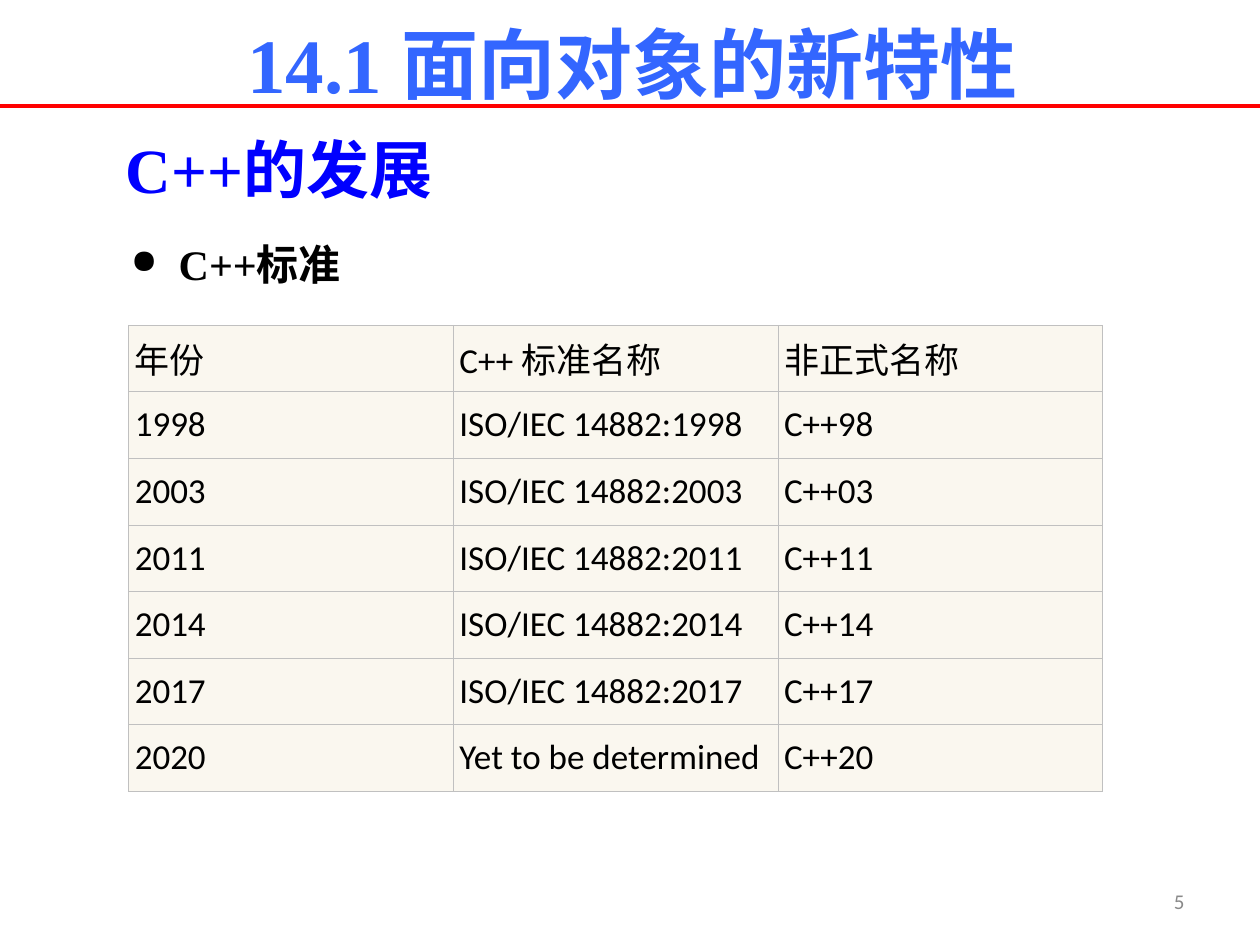
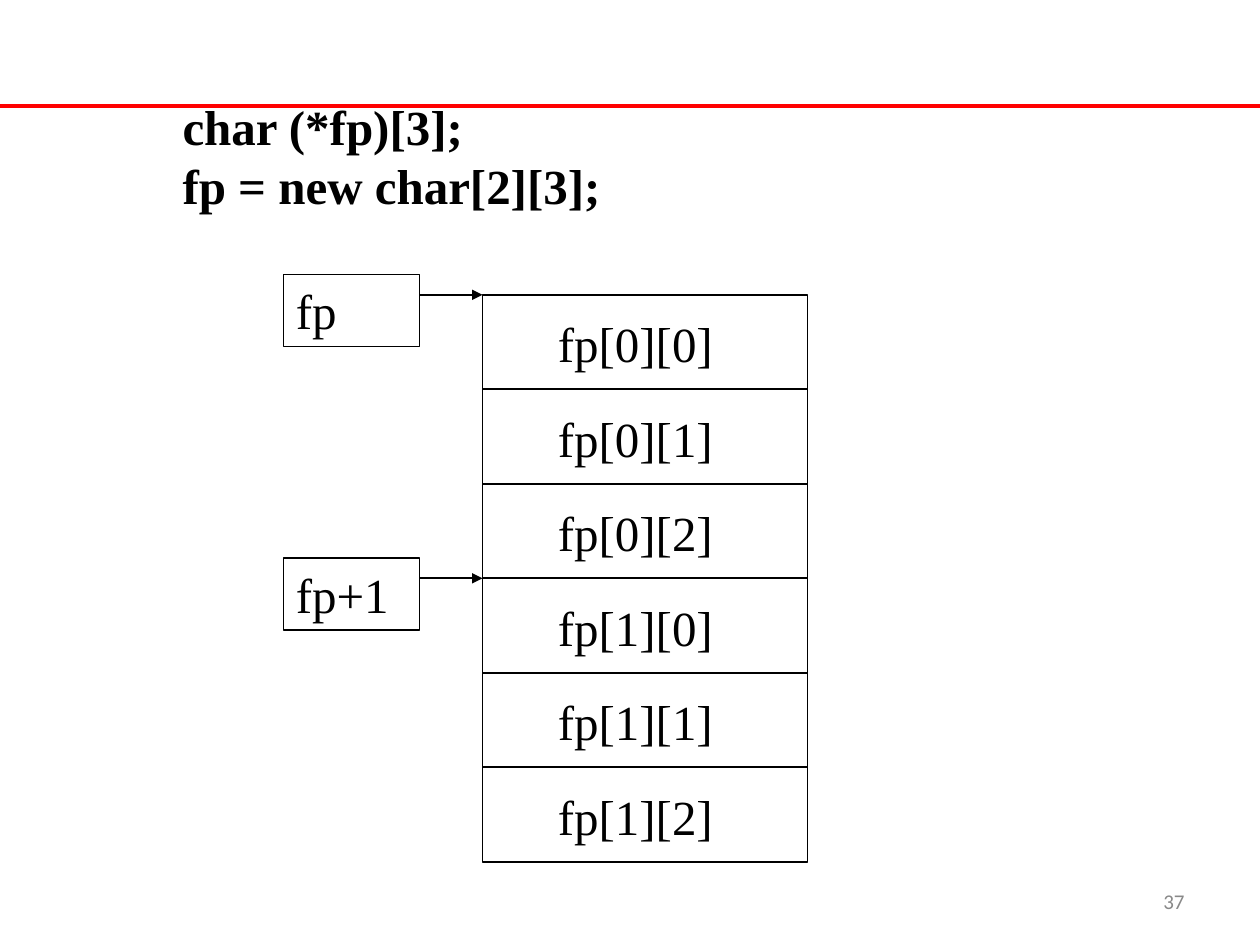
from lxml import etree
from pptx import Presentation, util as u
from pptx.dml.color import RGBColor
from pptx.enum import shapes, text
from pptx.oxml.ns import qn

COLORS = {"rule": "FF0000", "title": "3366FF", "heading": "0000FF", "ink": "000000",
          "number": "898989", "cell": "FAF7EF", "border": "C0C0C0"}
SERIF, SANS = "Times New Roman", "Calibri"
TITLE_ONLY, BLANK = 5, 6

STANDARDS = [
    ("年份", "C++ 标准名称", "非正式名称"),
    ("1998", "ISO/IEC 14882:1998", "C++98"),
    ("2003", "ISO/IEC 14882:2003", "C++03"),
    ("2011", "ISO/IEC 14882:2011", "C++11"),
    ("2014", "ISO/IEC 14882:2014", "C++14"),
    ("2017", "ISO/IEC 14882:2017", "C++17"),
    ("2020", "Yet to be determined", "C++20"),
]


def rgb(name):
    return RGBColor.from_string(COLORS[name])


def inches(*values):
    return [u.Inches(v) for v in values]


def sub(parent, tag, **attrs):
    return etree.SubElement(parent, qn(tag), attrs)


def write(tf, content, size=28, font=SERIF, color="ink", bold=False, align=None,
          anchor=text.MSO_ANCHOR.TOP, wrap=True, indent=0, bullet=None, spacing=None):
    """Fill a text frame, one paragraph for each line of content."""
    tf.word_wrap = wrap
    tf.auto_size = text.MSO_AUTO_SIZE.NONE
    tf.vertical_anchor = anchor
    for i, line in enumerate(content.split("\n")):
        p = tf.paragraphs[0] if i == 0 else tf.add_paragraph()
        r = p.add_run()
        r.text = line
        if indent:
            pPr = p._p.get_or_add_pPr()
            pPr.set("marL", str(u.Inches(indent)))
            pPr.set("indent", str(-u.Inches(indent)))
            if bullet:
                sub(sub(pPr, "a:buClr"), "a:srgbClr", val=COLORS["ink"])
                sub(pPr, "a:buSzPct", val="80000")
                sub(pPr, "a:buChar", char=bullet)
        p.alignment = align
        if spacing:
            p.line_spacing = spacing
        f = r.font
        f.size, f.name, f.bold = u.Pt(size), font, bold
        f.color.rgb = rgb(color)


def label(s, box, content, **fmt):
    write(s.shapes.add_textbox(*inches(*box)).text_frame, content, **fmt)


def line(s, x1, y1, x2, y2, color="ink", width=1, arrow=False):
    c = s.shapes.add_connector(shapes.MSO_CONNECTOR.STRAIGHT, *inches(x1, y1, x2, y2))
    c.line.color.rgb = rgb(color)
    c.line.width = u.Pt(width)
    if arrow:
        sub(c.line._get_or_add_ln(), "a:tailEnd", type="triangle")
    sub(c._element.spPr, "a:effectLst")


def frame(s, box):
    sp = s.shapes.add_shape(shapes.MSO_SHAPE.RECTANGLE, *inches(*box))
    sp.shadow.inherit = False
    sp.fill.background()
    sp.line.color.rgb = rgb("ink")
    sp.line.width = u.Pt(1)
    return sp


def new_slide(prs, layout, number):
    """Slide with the shared red rule and page number."""
    s = prs.slides.add_slide(prs.slide_layouts[layout])
    line(s, 0, 0.84, 10, 0.84, color="rule", width=2.25)
    label(s, (7.17, 6.95, 2.33, 0.4), number, size=12, font=SANS, color="number",
          align=text.PP_ALIGN.RIGHT, anchor=text.MSO_ANCHOR.MIDDLE)
    return s


def set_title(s, box, content):
    sp = s.shapes.title
    sp.left, sp.top, sp.width, sp.height = inches(*box)
    write(sp.text_frame, content, size=44, color="title", bold=True,
          align=text.PP_ALIGN.CENTER)


def cell_borders(cell):
    tcPr = cell._tc.get_or_add_tcPr()
    for i, side in enumerate(("lnL", "lnR", "lnT", "lnB")):
        ln = etree.Element(qn(f"a:{side}"), w=str(u.Pt(0.34)))
        sub(sub(ln, "a:solidFill"), "a:srgbClr", val=COLORS["border"])
        tcPr.insert(i, ln)


def standards_table(s, box, rows):
    shape = s.shapes.add_table(len(rows), len(rows[0]), *inches(*box))
    table = shape.table
    table.first_row = table.horz_banding = False
    for r, row in enumerate(rows):
        for c, value in enumerate(row):
            cell = table.cell(r, c)
            write(cell.text_frame, value, size=20, font=SANS)
            cell.vertical_anchor = text.MSO_ANCHOR.MIDDLE
            cell.margin_left = cell.margin_right = u.Inches(0.05)
            cell.fill.solid()
            cell.fill.fore_color.rgb = rgb("cell")
            cell_borders(cell)


def pointer(s, box, name, target_x):
    """Named pointer box with an arrow to the memory column."""
    x, y, w, h = box
    write(frame(s, box).text_frame, name)
    line(s, x + w, y + 0.16, target_x, y + 0.16, arrow=True)


def memory_column(s, box, names):
    """Stack of equal memory cells, each with its name."""
    x, y, w, h = box
    step = h / len(names)
    frame(s, box)
    for i, name in enumerate(names):
        top = y + i * step
        if i:
            line(s, x, top, x + w, top)
        label(s, (x + 0.5, top + 0.1, 1.5, 0.57), name)


def standards_slide(prs):
    s = new_slide(prs, TITLE_ONLY, "5")
    set_title(s, (0.71, 0.08, 8.62, 0.84), "14.1 面向对象的新特性")
    label(s, (0.9, 0.99, 5.67, 0.7), "C++的发展", size=36, color="heading", bold=True,
          indent=0.39)
    label(s, (0.94, 1.64, 8.36, 0.7), "C++标准", size=24, bold=True,
          indent=0.38, bullet="●", spacing=1.5)
    standards_table(s, (1.02, 2.58, 7.73, 3.7), STANDARDS)


def memory_slide(prs):
    s = new_slide(prs, BLANK, "37")
    label(s, (1.35, 0.72, 3.51, 1.04), "char (*fp)[3];\nfp = new char[2][3];",
          bold=True, wrap=False)
    column = (3.83, 2.34, 2.58, 4.5)
    memory_column(s, column, [f"fp[{i}][{j}]" for i in range(2) for j in range(3)])
    for i, name in enumerate(("fp", "fp+1")):
        top = column[1] - 0.16 + i * column[3] / 2
        pointer(s, (2.25, top, 1.08, 0.57), name, column[0])


def main():
    prs = Presentation()
    prs.slide_width, prs.slide_height = inches(10, 7.5)
    standards_slide(prs)
    memory_slide(prs)
    prs.save("out.pptx")


if __name__ == "__main__":
    main()
